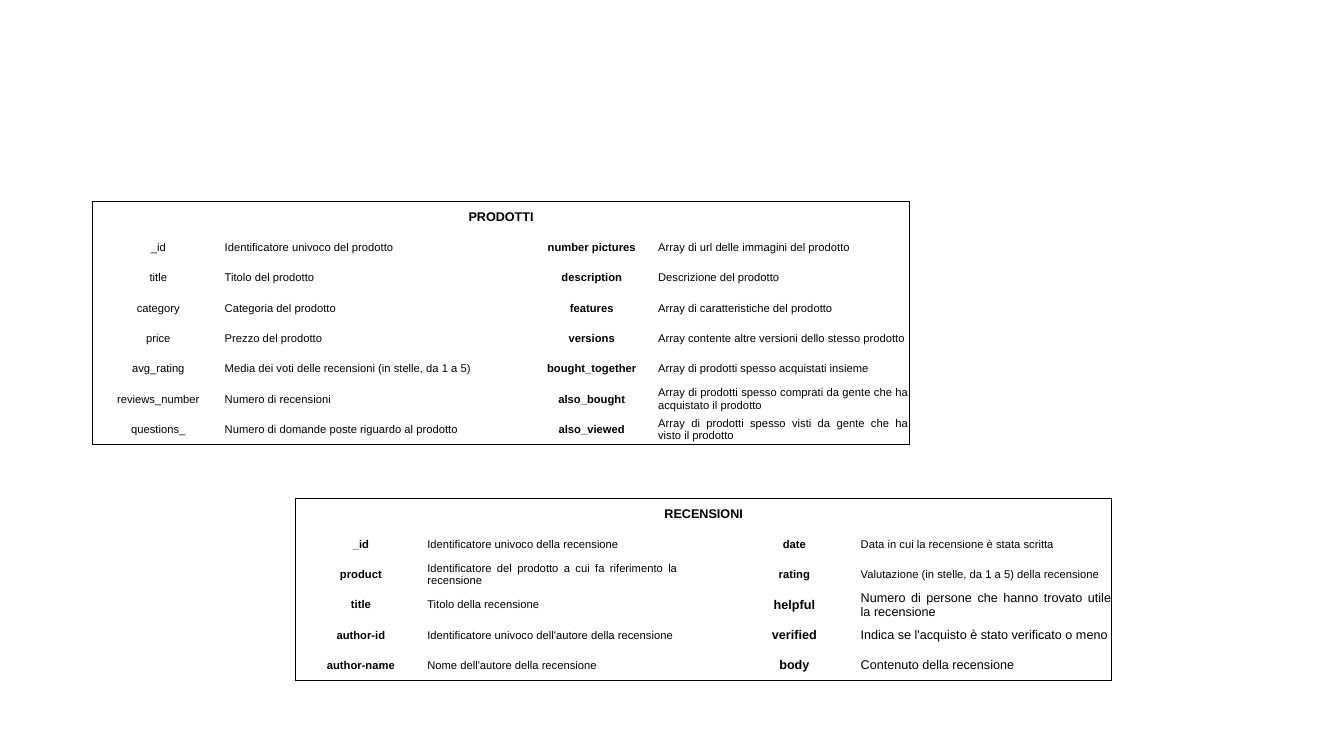
from dataclasses import dataclass

from lxml.etree import SubElement
from pptx import Presentation
from pptx.dml.color import RGBColor
from pptx.enum.text import MSO_ANCHOR, PP_ALIGN
from pptx.oxml.ns import qn
from pptx.slide import Slide
from pptx.table import _Cell
from pptx.util import Pt

COLORS = {"ink": "000000"}
FONT = "Arial"
NO_STYLE = "{2D5ABB26-0587-4C30-8999-92F81FD0307C}"
COLUMN_WIDTHS = (93.6, 180, 36, 93.6, 180)
ROW_HEIGHT = 21.7
TITLE_SIZE = 9
FIELD_SIZE = 8


@dataclass(frozen=True)
class Field:
    name: str
    description: str
    bold: bool = True
    size: float = FIELD_SIZE


@dataclass(frozen=True)
class Collection:
    title: str
    left: float
    top: float
    left_fields: tuple[Field, ...]
    right_fields: tuple[Field, ...]


COLLECTIONS = (
    Collection(
        "PRODOTTI", 66.3, 144,
        (
            Field("_id", "Identificatore univoco del prodotto", False),
            Field("title", "Titolo del prodotto", False),
            Field("category", "Categoria del prodotto", False),
            Field("price", "Prezzo del prodotto", False),
            Field("avg_rating", "Media dei voti delle recensioni (in stelle, da 1 a 5)", False),
            Field("reviews_number", "Numero di recensioni", False),
            Field("questions_", "Numero di domande poste riguardo al prodotto", False),
        ),
        (
            Field("number pictures", "Array di url delle immagini del prodotto"),
            Field("description", "Descrizione del prodotto"),
            Field("features", "Array di caratteristiche del prodotto"),
            Field("versions", "Array contente altre versioni dello stesso prodotto"),
            Field("bought_together", "Array di prodotti spesso acquistati insieme"),
            Field("also_bought",
                  "Array di prodotti spesso comprati da gente che ha acquistato il prodotto"),
            Field("also_viewed", "Array di prodotti spesso visti da gente che ha visto il prodotto"),
        ),
    ),
    Collection(
        "RECENSIONI", 211, 355.8,
        (
            Field("_id", "Identificatore univoco della recensione"),
            Field("product", "Identificatore del prodotto a cui fa riferimento la recensione"),
            Field("title", "Titolo della recensione"),
            Field("author-id", "Identificatore univoco dell'autore della recensione"),
            Field("author-name", "Nome dell'autore della recensione"),
        ),
        (
            Field("date", "Data in cui la recensione è stata scritta"),
            Field("rating", "Valutazione (in stelle, da 1 a 5) della recensione"),
            Field("helpful", "Numero di persone che hanno trovato utile la recensione", size=9),
            Field("verified", "Indica se l'acquisto è stato verificato o meno", size=9),
            Field("body", "Contenuto della recensione", size=9),
        ),
    ),
)


def write_cell(cell: _Cell, text: str, size: float, bold: bool, alignment: PP_ALIGN) -> None:
    cell.text_frame.text = text
    paragraph = cell.text_frame.paragraphs[0]
    paragraph.alignment = alignment
    font = paragraph.runs[0].font
    font.name, font.size, font.bold = FONT, Pt(size), bold
    font.color.rgb = RGBColor.from_string(COLORS["ink"])


def write_field(name_cell: _Cell, description_cell: _Cell, field: Field) -> None:
    write_cell(name_cell, field.name, field.size, field.bold, PP_ALIGN.CENTER)
    write_cell(description_cell, field.description, field.size, False, PP_ALIGN.JUSTIFY)


def format_cell(cell: _Cell, edges: dict[str, bool]) -> None:
    """Set margins, fill and a line on each edge marked True; edges run L, R, T, B."""
    cell.vertical_anchor = MSO_ANCHOR.MIDDLE
    cell.margin_left = cell.margin_right = cell.margin_top = Pt(0.6)
    cell.margin_bottom = 0
    properties = cell._tc.get_or_add_tcPr()
    for edge, drawn in edges.items():
        if drawn:
            line = SubElement(properties, qn(f"a:ln{edge}"), w=str(Pt(1)))
            fill = SubElement(line, qn("a:solidFill"))
            SubElement(fill, qn("a:srgbClr"), val=COLORS["ink"])
    cell.fill.background()


def add_collection(slide: Slide, collection: Collection) -> None:
    row_count = len(collection.left_fields) + 1
    last_row, last_column = row_count - 1, len(COLUMN_WIDTHS) - 1
    frame = slide.shapes.add_table(
        row_count, len(COLUMN_WIDTHS), Pt(collection.left), Pt(collection.top),
        Pt(sum(COLUMN_WIDTHS)), Pt(ROW_HEIGHT * row_count))
    table = frame.table
    table.first_row = table.horz_banding = False
    table._tbl.tblPr.find(qn("a:tableStyleId")).text = NO_STYLE
    for column, width in zip(table.columns, COLUMN_WIDTHS):
        column.width = Pt(width)
    for row in table.rows:
        row.height = Pt(ROW_HEIGHT)

    title_cell = table.cell(0, 0)
    title_cell.merge(table.cell(0, last_column))
    write_cell(title_cell, collection.title, TITLE_SIZE, True, PP_ALIGN.CENTER)
    pairs = zip(collection.left_fields, collection.right_fields)
    for row, (left_field, right_field) in enumerate(pairs, start=1):
        write_field(table.cell(row, 0), table.cell(row, 1), left_field)
        write_field(table.cell(row, 3), table.cell(row, 4), right_field)

    for row in range(row_count):
        for column in range(last_column + 1):
            cell = table.cell(row, column)
            format_cell(cell, {
                "L": column == 0,
                "R": column == last_column or cell.is_merge_origin,
                "T": row == 0,
                "B": row == last_row,
            })
            if not cell.text_frame.text:
                # A small paragraph mark keeps an empty cell from stretching its row
                paragraph = cell.text_frame.paragraphs[0]
                SubElement(paragraph._p, qn("a:endParaRPr"), sz=str(FIELD_SIZE * 100))


def main() -> None:
    presentation = Presentation()
    presentation.slide_width, presentation.slide_height = Pt(960), Pt(540)
    slide = presentation.slides.add_slide(presentation.slide_layouts[6])
    for collection in COLLECTIONS:
        add_collection(slide, collection)
    presentation.save("out.pptx")


if __name__ == "__main__":
    main()
